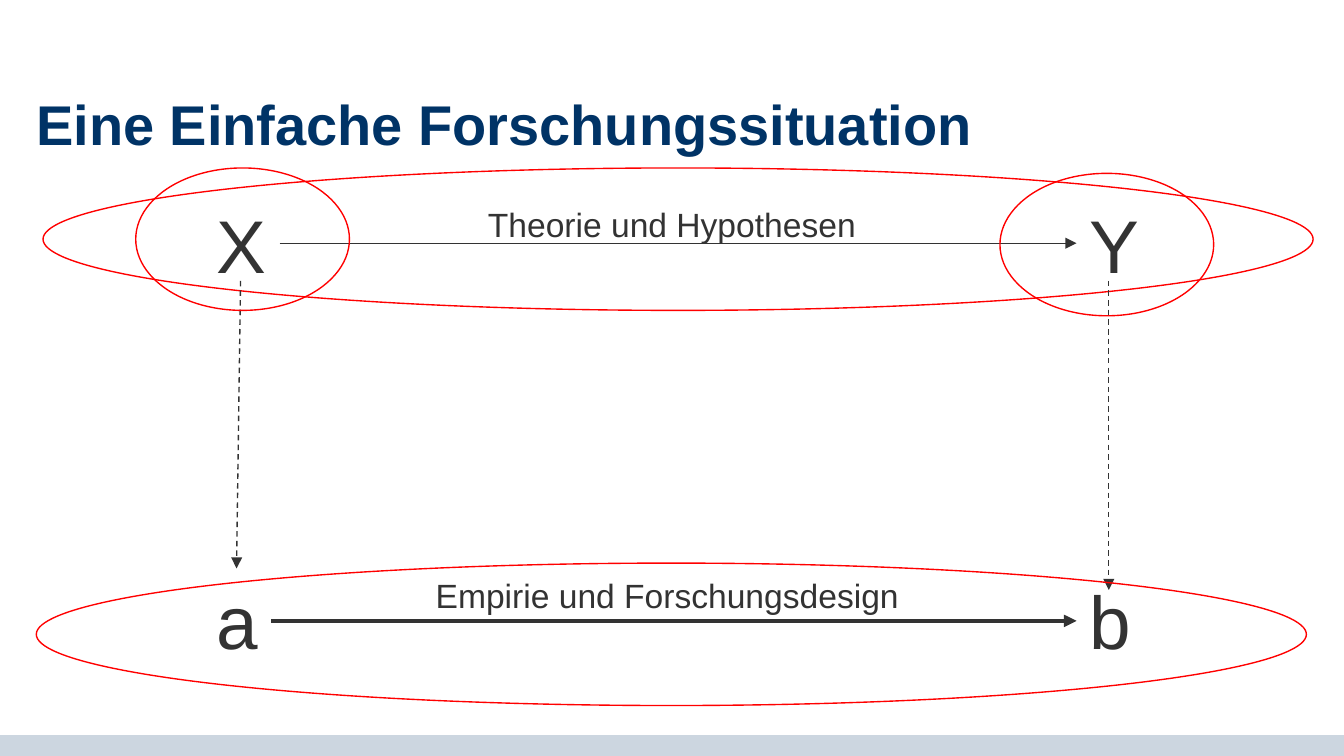
import pptx
import pptx.dml.color
import pptx.enum.dml
import pptx.enum.shapes
import pptx.enum.text
import pptx.oxml.ns
import pptx.util
from lxml import etree

Inches = pptx.util.Inches
Pt = pptx.util.Pt
qn = pptx.oxml.ns.qn
SHAPE = pptx.enum.shapes.MSO_SHAPE
ALIGN = pptx.enum.text.PP_ALIGN

WIDTH = 10
HEIGHT = WIDTH * 9 / 16
MARGIN = 0.27
CONTENT_W = 9.45
FONT = "Arial"
TEXT, NAVY, RED, BAR = "333333", "003366", "FF0000", "CCD6E0"

# Left edges of the two variable columns, tops of the two level rows
LEFT_COL, RIGHT_COL = 1.51, 8.01
THEORY_ROW, DATA_ROW = 1.43, 4.23
LETTER_H = 0.77
OVAL_H = 1.06


def color(hex_code):
    return pptx.dml.color.RGBColor.from_string(hex_code)


def add_run(p, text, size, hex_code, bold=False):
    r = p.add_run()
    r.text = text
    r.font.name = FONT
    r.font.size = Pt(size)
    r.font.bold = bold
    r.font.color.rgb = color(hex_code)


def add_title(s, text):
    sp = s.shapes.title
    sp.left, sp.top = Inches(MARGIN), Inches(0.78)
    sp.width, sp.height = Inches(CONTENT_W), Inches(0.35)
    tf = sp.text_frame
    tf.margin_left = tf.margin_top = tf.margin_right = tf.margin_bottom = 0
    tf.vertical_anchor = pptx.enum.text.MSO_ANCHOR.MIDDLE
    tf.auto_size = pptx.enum.text.MSO_AUTO_SIZE.NONE
    p = tf.paragraphs[0]
    p.alignment = ALIGN.LEFT
    p.line_spacing = 0.85
    add_run(p, text, 30, NAVY, bold=True)


def add_text(s, text, x, y, w, h, size, align=ALIGN.LEFT, wrap=True):
    sp = s.shapes.add_textbox(Inches(x), Inches(y), Inches(w), Inches(h))
    tf = sp.text_frame
    tf.word_wrap = wrap
    tf.auto_size = pptx.enum.text.MSO_AUTO_SIZE.SHAPE_TO_FIT_TEXT
    p = tf.paragraphs[0]
    p.alignment = align
    add_run(p, text, size, TEXT)


def add_letter(s, text, x, y, w, wrap=True):
    add_text(s, text, x, y, w, LETTER_H, 40, wrap=wrap)


def add_label(s, text, y):
    add_text(s, text, 2.35, y, 5.3, 0.4, 18, ALIGN.CENTER)


def add_oval(s, x, y, w):
    sp = s.shapes.add_shape(SHAPE.OVAL, Inches(x), Inches(y), Inches(w), Inches(OVAL_H))
    sp.shadow.inherit = False
    sp.fill.background()
    sp.line.color.rgb = color(RED)
    sp.line.width = Pt(0.75)


def add_arrow(s, x1, y1, x2, y2, width=0.75, dashed=False):
    cn = s.shapes.add_connector(pptx.enum.shapes.MSO_CONNECTOR.STRAIGHT,
                                Inches(x1), Inches(y1), Inches(x2), Inches(y2))
    cn.line.color.rgb = color(TEXT)
    cn.line.width = Pt(width)
    if dashed:
        cn.line.dash_style = pptx.enum.dml.MSO_LINE.DASH
    sp_pr = cn.element.spPr
    etree.SubElement(sp_pr.find(qn("a:ln")), qn("a:tailEnd"), type="triangle")
    etree.SubElement(sp_pr, qn("a:effectLst"))


def add_footer_bar(s):
    top = 5.47
    sp = s.shapes.add_shape(SHAPE.RECTANGLE, 0, Inches(top), Inches(WIDTH), Inches(HEIGHT - top))
    sp.shadow.inherit = False
    sp.fill.solid()
    sp.fill.fore_color.rgb = color(BAR)
    sp.line.fill.background()


def main():
    prs = pptx.Presentation()
    prs.slide_width, prs.slide_height = Inches(WIDTH), Inches(HEIGHT)
    s = prs.slides.add_slide(prs.slide_layouts[5])

    add_footer_bar(s)
    add_title(s, "Eine Einfache Forschungssituation")

    # Theory level
    add_oval(s, 0.32, 1.25, CONTENT_W)
    add_label(s, "Theorie und Hypothesen", 1.47)
    add_arrow(s, 2.08, 1.81, RIGHT_COL, 1.81)
    add_letter(s, "Y", RIGHT_COL, THEORY_ROW, 0.48)
    add_letter(s, "X", LEFT_COL, THEORY_ROW, 0.58, wrap=False)

    # From theory to data
    add_arrow(s, 1.79, 2.09, 1.76, DATA_ROW, dashed=True)
    add_arrow(s, 8.25, 2.09, 8.25, 4.39, dashed=True)

    # Data level
    add_arrow(s, 2.02, 4.62, RIGHT_COL, 4.62, width=2.25)
    add_letter(s, "b", RIGHT_COL, DATA_ROW, 0.48)
    add_letter(s, "a", LEFT_COL, DATA_ROW, 0.51, wrap=False)
    add_oval(s, MARGIN, 4.19, CONTENT_W)
    add_label(s, "Empirie und Forschungsdesign ", DATA_ROW)

    # Rings around the two variables
    for x, y in ((1.01, 1.25), (7.44, 1.29)):
        add_oval(s, x, y, 1.59)

    prs.save("out.pptx")


if __name__ == "__main__":
    main()
